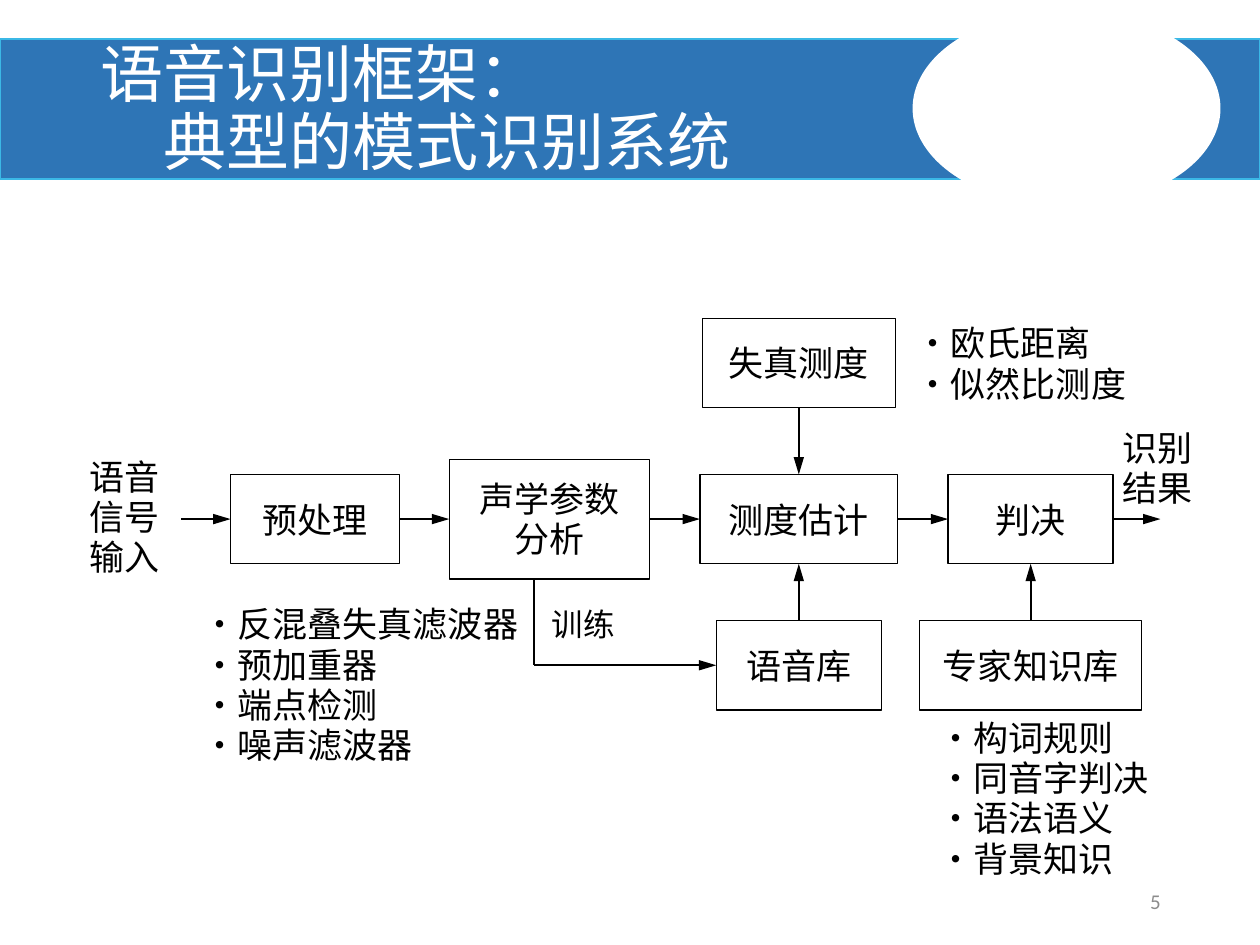
from dataclasses import dataclass

from lxml.etree import SubElement
from pptx import Presentation
from pptx.dml.color import RGBColor as Color
from pptx.enum.lang import MSO_LANGUAGE_ID as Language
from pptx.enum.shapes import MSO_CONNECTOR as Connector, MSO_SHAPE as Preset
from pptx.enum.text import MSO_ANCHOR as Anchor, PP_ALIGN as Align
from pptx.oxml.ns import qn
from pptx.util import Inches, Pt


@dataclass(frozen=True)
class Theme:
    band: Color = Color(0x2E, 0x75, 0xB6)
    band_edge: Color = Color(0x3B, 0xB8, 0xE6)
    paper: Color = Color(0xFF, 0xFF, 0xFF)
    ink: Color = Color(0, 0, 0)
    muted: Color = Color(0x8C, 0x8C, 0x8C)
    chinese: str = "Noto Sans CJK SC"
    latin: str = "Calibri"
    title: int = 36
    body: int = 20
    label: int = 18
    number: int = 12
    title_leading: int = 39
    leading: int = 23


THEME = Theme()
TOP, LEFT, BOTTOM, RIGHT = range(4)

# Centres of the diagram's columns and rows, in inches
COLUMNS = (2.5, 4.36, 6.34, 8.18)
ROWS = (2.88, 4.12, 5.28)

# Name: (text, column, row, width, height)
BOXES = {
    "preprocess": ("预处理", 0, 1, 1.34, 0.71),
    "analysis": ("声学参数\n分析", 1, 1, 1.59, 0.95),
    "estimate": ("测度估计", 2, 1, 1.57, 0.71),
    "distortion": ("失真测度", 2, 0, 1.53, 0.71),
    "speech_base": ("语音库", 2, 2, 1.31, 0.71),
    "decision": ("判决", 3, 1, 1.31, 0.71),
    "expert_base": ("专家知识库", 3, 2, 1.76, 0.71),
}

# (text, left, top, width, height, size)
NOTES = (
    ("·欧氏距离\n·似然比测度", 7.17, 2.52, 2.03, 0.81, THEME.body),
    ("·反混叠失真滤波器\n·预加重器\n·端点检测\n·噪声滤波器",
     1.51, 4.75, 2.8, 1.52, THEME.body),
    ("·构词规则\n·同音字判决\n·语法语义\n·背景知识",
     7.35, 5.65, 2.22, 1.52, THEME.body),
    ("语音\n信号\n输入", 0.61, 3.58, 0.97, 0.95, THEME.body),
    ("识别\n结果", 8.81, 3.35, 0.93, 0.85, THEME.body),
    ("训练", 4.28, 4.73, 1.01, 0.68, THEME.label),
)

LINKS = (
    ("preprocess", RIGHT, "analysis", LEFT),
    ("analysis", RIGHT, "estimate", LEFT),
    ("estimate", RIGHT, "decision", LEFT),
    ("distortion", BOTTOM, "estimate", TOP),
    ("speech_base", TOP, "estimate", BOTTOM),
    ("expert_base", TOP, "decision", BOTTOM),
)


def write(shape, text, size, color, align, leading=None, font_name=THEME.chinese):
    frame = shape.text_frame
    frame.word_wrap = True
    frame.text = text
    for paragraph in frame.paragraphs:
        paragraph.alignment = align
        if leading:
            paragraph.line_spacing = Pt(leading)
        for run in paragraph.runs:
            font = run.font
            font.size = Pt(size)
            font.color.rgb = color
            font.name = font_name
            if font_name == THEME.chinese:
                font.language_id = Language.SIMPLIFIED_CHINESE
                SubElement(font._element, qn("a:ea"), typeface=font_name)


def add_text(slide, text, left, top, width, height, size, color=THEME.ink,
             align=Align.JUSTIFY, anchor=Anchor.TOP, **style):
    shape = slide.shapes.add_textbox(*map(Inches, (left, top, width, height)))
    write(shape, text, size, color, align, **style)
    shape.text_frame.vertical_anchor = anchor


def add_preset(slide, preset, left, top, width, height, fill, edge, weight=1):
    shape = slide.shapes.add_shape(preset, *map(Inches, (left, top, width, height)))
    shape.shadow.inherit = False
    if fill is None:
        shape.fill.background()
    else:
        shape.fill.solid()
        shape.fill.fore_color.rgb = fill
    shape.line.color.rgb = edge
    shape.line.width = Pt(weight)
    return shape


def add_box(slide, text, column, row, width, height):
    left, top = COLUMNS[column] - width / 2, ROWS[row] - height / 2
    shape = add_preset(slide, Preset.RECTANGLE, left, top, width, height,
                       None, THEME.ink, 0.75)
    leading = THEME.leading if "\n" in text else None
    write(shape, text, THEME.body, THEME.ink, Align.CENTER, leading)
    shape.text_frame.vertical_anchor = Anchor.MIDDLE
    return shape


def add_line(slide, begin=(0, 0), end=(0, 0), source=None, target=None, arrow=True):
    """Draw between points; source and target are (shape, side) joints."""
    line = slide.shapes.add_connector(Connector.STRAIGHT, *map(Inches, begin + end))
    if source:
        line.begin_connect(*source)
    if target:
        line.end_connect(*target)
    line.line.color.rgb = THEME.ink
    line.line.width = Pt(1)
    if arrow:
        SubElement(line.line._get_or_add_ln(), qn("a:tailEnd"),
                   type="triangle", w="med", len="lg")
    SubElement(line._element.spPr, qn("a:effectLst"))


def add_header(slide):
    add_preset(slide, Preset.RECTANGLE, 0, 0.31, 10, 1.11, THEME.band, THEME.band_edge)
    add_preset(slide, Preset.OVAL, 7.25, 0.09, 2.43, 1.54, THEME.paper, THEME.paper)
    add_text(slide, "语音识别框架：\v\t典型的模式识别系统", 0.7, 0.33, 6.36, 1.09,
             THEME.title, THEME.paper, Align.LEFT, Anchor.MIDDLE,
             leading=THEME.title_leading)


def add_diagram(slide):
    boxes = {name: add_box(slide, *box) for name, box in BOXES.items()}
    for start, start_side, finish, finish_side in LINKS:
        add_line(slide, source=(boxes[start], start_side),
                 target=(boxes[finish], finish_side))

    # Input and output
    add_line(slide, (1.44, ROWS[1]), target=(boxes["preprocess"], LEFT))
    add_line(slide, end=(9.21, ROWS[1]), source=(boxes["decision"], RIGHT))

    # Training path
    corner = (4.24, ROWS[2])
    add_line(slide, (4.24, 4.59), corner, arrow=False)
    add_line(slide, corner, target=(boxes["speech_base"], LEFT))


def main():
    presentation = Presentation()
    presentation.slide_width, presentation.slide_height = Inches(10), Inches(7.5)
    slide = presentation.slides.add_slide(presentation.slide_layouts[6])
    slide.background.fill.solid()
    slide.background.fill.fore_color.rgb = THEME.paper

    add_header(slide)
    add_diagram(slide)
    for note in NOTES:
        add_text(slide, *note, leading=THEME.leading)

    # Page number
    add_text(slide, "5", 7.06, 6.95, 2.25, 0.4, THEME.number, THEME.muted,
             Align.RIGHT, Anchor.MIDDLE, font_name=THEME.latin)
    presentation.save("out.pptx")


if __name__ == "__main__":
    main()
